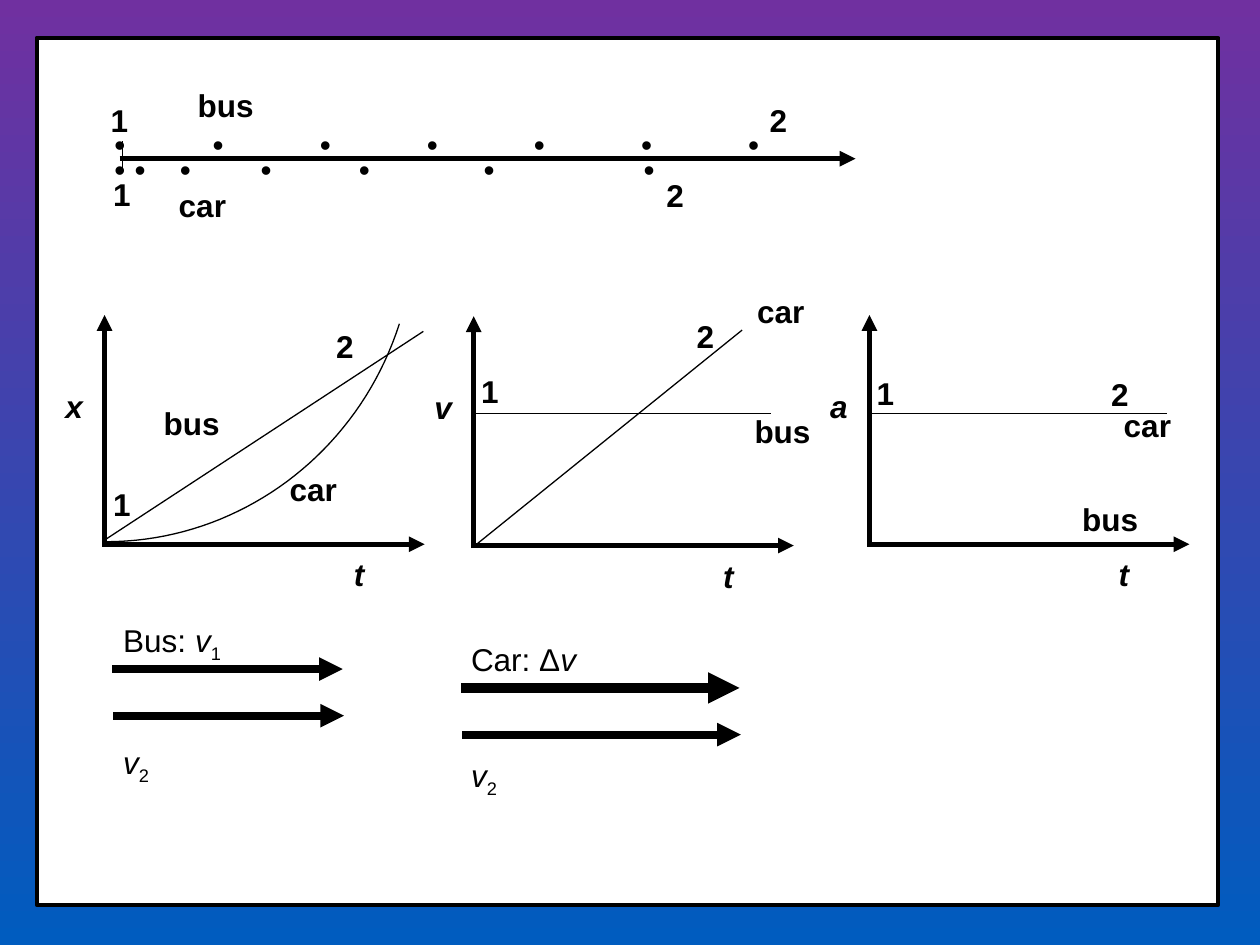
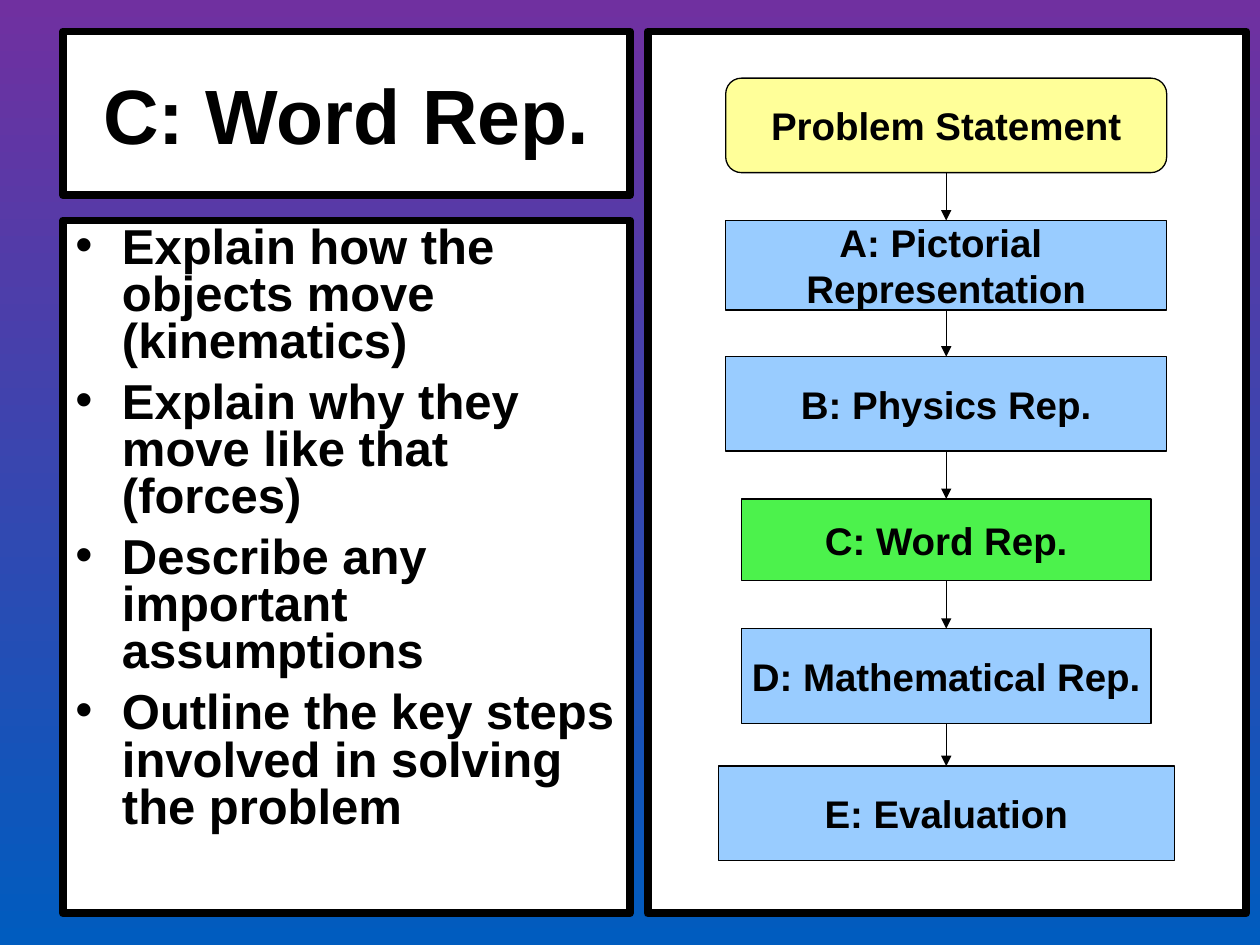
from lxml import etree
from pptx import Presentation
from pptx.dml.color import RGBColor
from pptx.enum import shapes, text
from pptx.oxml import ns
from pptx.util import Inches, Pt

BLACK = RGBColor(0, 0, 0)
WHITE = RGBColor(255, 255, 255)
PURPLE = RGBColor(0x70, 0x30, 0xA0)
BLUE = RGBColor(0x00, 0x5C, 0xBF)
SKY = RGBColor(0x99, 0xCC, 0xFF)
GREEN = RGBColor(0x4C, 0xF2, 0x4C)
YELLOW = RGBColor(0xFF, 0xFF, 0x99)
RECT = shapes.MSO_SHAPE.RECTANGLE
STEP = shapes.MSO_SHAPE.FLOWCHART_PROCESS
START = shapes.MSO_SHAPE.FLOWCHART_ALTERNATE_PROCESS


def sub(node, tag, **attrs):
    return etree.SubElement(node, ns.qn(tag), attrs)


class Deck:
    font = "Arial"

    def __init__(self):
        self.prs = Presentation()
        self.prs.slide_width = Inches(10)
        self.prs.slide_height = Inches(7.5)

    def page(self):
        self.slide = self.prs.slides.add_slide(self.prs.slide_layouts[6])
        self.items = self.slide.shapes
        fill = self.slide.background.fill
        fill.gradient()
        fill.gradient_angle = 270
        for stop, tone in zip(fill.gradient_stops, (PURPLE, BLUE)):
            stop.color.rgb = tone

    def style(self, para, size, bold=False, slant=False):
        font = para.font
        font.name, font.size = self.font, Pt(size)
        font.bold, font.italic = bold, slant
        font.color.rgb = BLACK

    def pen(self, shape, width):
        shape.line.color.rgb = BLACK
        shape.line.width = Pt(width)

    def box(self, x, y, w, h, width, fill=WHITE, kind=RECT):
        shape = self.items.add_shape(kind, Inches(x), Inches(y), Inches(w), Inches(h))
        shape.shadow.inherit = False
        shape.fill.solid()
        shape.fill.fore_color.rgb = fill
        self.pen(shape, width)
        return shape

    def label(self, shape, lines, size, wrap=True):
        frame = shape.text_frame
        frame.word_wrap = wrap
        frame.vertical_anchor = text.MSO_ANCHOR.MIDDLE
        for i, line in enumerate(lines):
            para = frame.add_paragraph() if i else frame.paragraphs[0]
            para.text = line
            para.alignment = text.PP_ALIGN.CENTER
            self.style(para, size, True)

    def bullets(self, shape, lines, size):
        frame = shape.text_frame
        frame.word_wrap = True
        frame.vertical_anchor = text.MSO_ANCHOR.TOP
        for i, line in enumerate(lines):
            para = frame.add_paragraph() if i else frame.paragraphs[0]
            para.text = line
            para.alignment = text.PP_ALIGN.LEFT
            para.line_spacing = 0.8
            if i:
                para.space_before = Pt(8)
            props = para._p.get_or_add_pPr()
            props.set("marL", str(Inches(0.37)))
            props.set("indent", str(-Inches(0.37)))
            sub(props, "a:buFont", typeface=self.font)
            sub(props, "a:buChar", char="•")
            self.style(para, size, True)

    def frame(self, x, y, w, h=0.4):
        frame = self.items.add_textbox(Inches(x), Inches(y), Inches(w), Inches(h)).text_frame
        frame.word_wrap = True
        return frame

    def word(self, x, y, w, words, slant=False):
        para = self.frame(x, y, w).paragraphs[0]
        para.text = words
        self.style(para, 18, True, slant)

    def dots(self, x, y, w, stops):
        para = self.frame(x, y, w).paragraphs[0]
        para.text = "\t".join("•" * (len(stops) + 1))
        tabs = sub(para._p.get_or_add_pPr(), "a:tabLst")
        for stop in stops:
            sub(tabs, "a:tab", pos=str(Inches(stop)), algn="l")
        self.style(para, 18)

    def maths(self, x, y, w, h, lines):
        frame = self.frame(x, y, w, h)
        for i, line in enumerate(lines):
            para = frame.add_paragraph() if i else frame.paragraphs[0]
            if i:
                para.space_before = Pt(45)
            self.style(para, 18)
            for words, look in line:
                run = para.add_run()
                run.text = words
                if look == "slant":
                    run.font.italic = True
                if look == "low":
                    run._r.get_or_add_rPr().set("baseline", "-25000")

    def line(self, x1, y1, x2, y2, width=0.75, arrow=False):
        ends = [Inches(v) for v in (x1, y1, x2, y2)]
        link = self.items.add_connector(shapes.MSO_CONNECTOR.STRAIGHT, *ends)
        self.pen(link, width)
        if arrow:
            sub(link.line._get_or_add_ln(), "a:tailEnd", type="triangle")
        sub(link._element.spPr, "a:effectLst")
        return link

    def join(self, top, low):
        link = self.line(0, 0, 1, 1, arrow=True)
        link.begin_connect(top, 2)
        link.end_connect(low, 0)

    def curve(self, knots, count=40):
        dots = []
        for i in range(count + 1):
            t = i / count
            mix = ((1 - t) ** 3, 3 * t * (1 - t) ** 2, 3 * t * t * (1 - t), t ** 3)
            dots.append([Inches(sum(m * k[n] for m, k in zip(mix, knots))) for n in (0, 1)])
        path = self.items.build_freeform(*dots[0])
        path.add_line_segments(dots[1:], close=False)
        shape = path.convert_to_shape()
        shape.shadow.inherit = False
        shape.fill.background()
        self.pen(shape, 0.75)

    def axes(self, x, y, name):
        self.line(x, y + 0.02, x, y - 1.82, 3, True)
        self.line(x, y, x + 2.54, y, 3, True)
        self.word(x - 0.41, y - 1.3, 0.56, name, True)
        self.word(x + 1.88, y + 0.04, 0.56, "t", True)


def graphs(deck):
    deck.page()
    deck.box(0.29, 0.3, 9.38, 6.88, 2.25)

    deck.dots(0.81, 0.94, 5.56, [0.78 + 0.85 * i for i in range(6)])
    deck.dots(0.81, 1.14, 5.56, [0.16, 0.52, 1.16, 1.94, 2.93, 4.2])
    deck.line(0.95, 1.26, 6.79, 1.26, 3, True)
    deck.line(0.97, 1.12, 0.97, 1.34)

    for x, y, name in ((0.83, 4.32, "x"), (3.76, 4.33, "v"), (6.9, 4.32, "a")):
        deck.axes(x, y, name)
    for ends in ((0.84, 4.28, 3.36, 2.63), (3.77, 3.28, 6.12, 3.28),
                 (3.77, 4.33, 5.89, 2.62), (6.91, 3.28, 9.26, 3.28)):
        deck.line(*ends)
    deck.curve(((0.84, 4.3), (1.9, 4.3), (2.84, 3.6), (3.17, 2.57)))

    spots = {
        "1": ((0.78, 0.75), (0.8, 1.34), (3.72, 2.9), (0.8, 3.8), (6.86, 2.92)),
        "2": ((6.01, 0.75), (5.19, 1.35), (5.43, 2.47), (2.57, 2.55), (8.72, 2.93)),
        "car": ((1.32, 1.43), (2.2, 3.68), (5.91, 2.27), (8.82, 3.17)),
        "bus": ((1.47, 0.63), (5.89, 3.22), (1.2, 3.16), (8.49, 3.92)),
    }
    for words, places in spots.items():
        for x, y in places:
            deck.word(x, y, 0.54 if words.isdigit() else 0.75, words)

    for x, y, size, width in ((0.89, 5.31, 1.83, 4.5), (0.9, 5.68, 1.83, 4.5),
                              (3.66, 5.46, 2.21, 6), (3.67, 5.83, 2.21, 4.5)):
        deck.line(x, y, x + size, y, width, True)
    last = (("v", "slant"), ("2", "low"))
    deck.maths(0.88, 4.88, 1.86, 1.44, ((("Bus: ", ""), ("v", "slant"), ("1", "low")), last))
    deck.maths(3.64, 5.03, 1.86, 1.4, ((("Car: Δ", ""), ("v", "slant")), last))


def words(deck):
    deck.page()
    deck.label(deck.box(0.5, 0.25, 4.5, 1.3, 4.5), ["C: Word Rep."], 44)
    deck.bullets(deck.box(0.5, 1.75, 4.5, 5.5, 4.5), [
        "Explain how the objects move (kinematics)",
        "Explain why they move like that (forces)",
        "Describe any important assumptions",
        "Outline the key steps involved in solving the problem",
    ], 28)
    deck.box(5.14, 0.25, 4.75, 7, 4.5)

    mid = 7.51
    steps = (
        (["Problem Statement"], 0.62, 3.5, 0.75, YELLOW, START),
        (["A: Pictorial ", "Representation"], 1.75, 3.5, 0.71, SKY, STEP),
        (["B: Physics Rep."], 2.83, 3.5, 0.75, SKY, STEP),
        (["C: Word Rep."], 3.96, 3.25, 0.65, GREEN, STEP),
        (["D: Mathematical Rep."], 4.99, 3.25, 0.75, SKY, STEP),
        (["E: Evaluation"], 6.08, 3.62, 0.75, SKY, STEP),
    )
    chain = []
    for lines, y, w, h, fill, kind in steps:
        shape = deck.box(mid - w / 2, y, w, h, 0.75, fill, kind)
        deck.label(shape, lines, 22, False)
        chain.append(shape)
    for top, low in zip(chain, chain[1:]):
        deck.join(top, low)


def main():
    deck = Deck()
    graphs(deck)
    words(deck)
    deck.prs.save("out.pptx")


if __name__ == "__main__":
    main()
